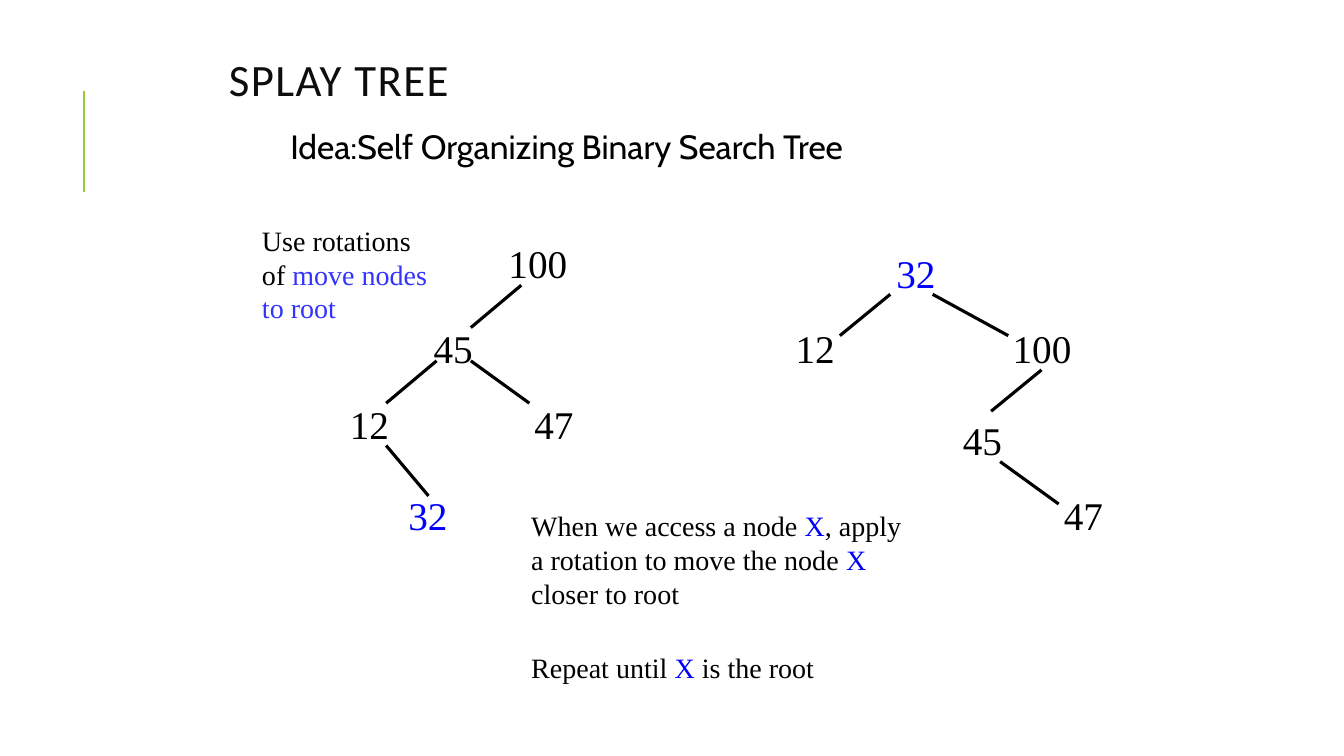
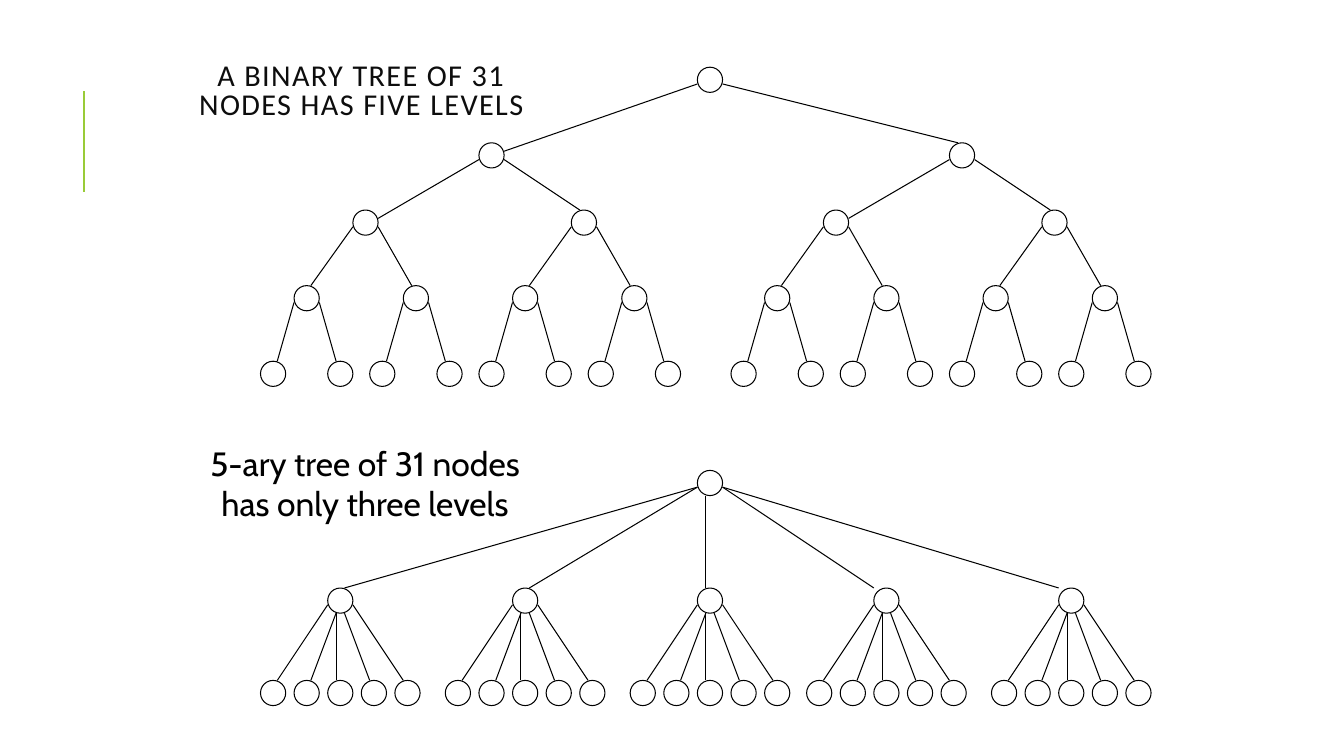
from typing import NamedTuple

from pptx import Presentation
from pptx.dml.color import RGBColor
from pptx.enum.shapes import MSO_CONNECTOR, MSO_SHAPE
from pptx.enum.text import MSO_ANCHOR, MSO_AUTO_SIZE, PP_ALIGN
from pptx.oxml.xmlchemy import OxmlElement
from pptx.presentation import Presentation as Deck
from pptx.slide import Slide
from pptx.text.text import TextFrame
from pptx.util import Inches, Pt

LEFT, CENTER = PP_ALIGN.LEFT, PP_ALIGN.CENTER
TOP, MIDDLE = MSO_ANCHOR.TOP, MSO_ANCHOR.MIDDLE
NO_AUTOSIZE = MSO_AUTO_SIZE.NONE
STRAIGHT, ELLIPSE = MSO_CONNECTOR.STRAIGHT, MSO_SHAPE.OVAL

BLACK = RGBColor(0x00, 0x00, 0x00)
TITLE_INK = RGBColor(0x0D, 0x0D, 0x0D)
GREEN = RGBColor(0x99, 0xCB, 0x38)
BLUE = RGBColor(0x00, 0x00, 0xFF)
SOFT_BLUE = RGBColor(0x33, 0x33, 0xFF)

TITLE_FONT, BODY_FONT, TREE_FONT = "Calibri", "Cabin", "Times New Roman"
TITLE_LAYOUT = 5
GRID = 1 / 12  # the large trees sit on a grid of twelfths of an inch
NODE = 3  # node diameter in grid steps


class Box(NamedTuple):
    left: float
    top: float
    width: float
    height: float


class Piece(NamedTuple):
    text: str
    color: RGBColor = BLACK


class Label(NamedTuple):
    key: str
    left: float
    top: float
    color: RGBColor = BLACK


class Edge(NamedTuple):
    x1: float
    y1: float
    x2: float
    y2: float


class Branch(NamedTuple):
    """Grid steps: child's shift, edge start on parent, edge end on child."""
    shift: int
    start: tuple[int, int]
    end: tuple[int, int]


class Level(NamedTuple):
    top: int
    branches: tuple[Branch, ...] = ()


# Small search trees: before and after the rotations
LABELS = (
    Label("100", 4.67, 2.33), Label("45", 3.83, 3.17),
    Label("12", 3, 3.92), Label("47", 4.83, 3.92),
    Label("32", 3.58, 4.83, BLUE),
    Label("32", 8.42, 2.42, BLUE), Label("12", 7.42, 3.17),
    Label("100", 9.67, 3.17), Label("45", 9.08, 4.08),
    Label("47", 10.08, 4.83),
)
EDGES = (
    Edge(5.17, 2.83, 4.67, 3.25), Edge(4.33, 3.58, 3.83, 4),
    Edge(4.67, 3.58, 5.25, 4), Edge(3.83, 4.42, 4.25, 4.92),
    Edge(8.83, 2.92, 8.33, 3.33), Edge(9.25, 2.92, 10, 3.33),
    Edge(10.33, 3.67, 9.83, 4.08), Edge(9.92, 4.58, 10.5, 5),
)


def fork(left: int, right: int, left_end: tuple[int, int]) -> tuple[Branch, ...]:
    return Branch(left, (0, 2), left_end), Branch(right, (3, 2), (1, 0))


# Large trees, root level first
ROOT_LEFT = 83
BINARY_TREE = (
    Level(8, fork(-26, 30, (3, 1))),
    Level(17, fork(-15, 11, (3, 1))),
    Level(25, fork(-7, 6, (2, 0))),
    Level(34, fork(-4, 4, (2, 0))),
    Level(43),
)
FIVE_ARY_TREE = (
    Level(56, (
        Branch(-44, (0, 2), (2, 0)), Branch(-22, (0, 2), (2, 0)),
        Branch(0, (1, 3), (1, 0)),
        Branch(21, (3, 2), (0, 0)), Branch(43, (3, 2), (0, 0)),
    )),
    Level(70, (
        Branch(-8, (0, 2), (2, 0)), Branch(-4, (1, 3), (2, 0)),
        Branch(0, (1, 3), (1, 0)),
        Branch(4, (2, 3), (1, 0)), Branch(8, (3, 2), (1, 0)),
    )),
    Level(81),
)


def draw_edge(slide: Slide, edge: Edge, color: RGBColor, weight: float) -> None:
    line = slide.shapes.add_connector(STRAIGHT, *(Inches(v) for v in edge))
    line.line.color.rgb = color
    line.line.width = Pt(weight)
    line._element.spPr.append(OxmlElement("a:effectLst"))


def write(frame: TextFrame, paragraphs: list[list[Piece]], font: str, size: float,
          align: PP_ALIGN = LEFT, line_spacing: float = 1, gap: float = 0,
          tracking: float = 0) -> None:
    """Fill a frame; gap is the space above every paragraph but the first."""
    for index, pieces in enumerate(paragraphs):
        paragraph = frame.add_paragraph() if index else frame.paragraphs[0]
        paragraph.alignment = align
        paragraph.line_spacing = line_spacing
        paragraph.space_before = Pt(gap if index else 0)
        for piece in pieces:
            run = paragraph.add_run()
            run.text = piece.text
            run.font.name = font
            run.font.size = Pt(size)
            run.font.color.rgb = piece.color
            if tracking:
                run._r.get_or_add_rPr().set("spc", str(round(tracking * 100)))


def add_text(slide: Slide, box: Box, anchor: MSO_ANCHOR = TOP) -> TextFrame:
    frame = slide.shapes.add_textbox(*(Inches(v) for v in box)).text_frame
    frame.word_wrap = True
    frame.vertical_anchor = anchor
    return frame


def add_titled_slide(deck: Deck, text: str, box: Box, size: float,
                     align: PP_ALIGN) -> Slide:
    slide = deck.slides.add_slide(deck.slide_layouts[TITLE_LAYOUT])
    draw_edge(slide, Edge(0.83, 1.9, 0.83, 0.9), GREEN, 1.5)
    title = slide.shapes.title
    title.left, title.top, title.width, title.height = (Inches(v) for v in box)
    frame = title.text_frame
    frame.word_wrap = True
    frame.auto_size = NO_AUTOSIZE
    frame.vertical_anchor = MIDDLE
    write(frame, [[Piece(text, TITLE_INK)]], TITLE_FONT, size, align,
          line_spacing=0.8, tracking=1)
    return slide


def grow_tree(slide: Slide, left: int, levels: tuple[Level, ...]) -> None:
    """Draw a node, its edges and, below it, all its subtrees."""
    level, lower = levels[0], levels[1:]
    node = slide.shapes.add_shape(
        ELLIPSE, *(Inches(v * GRID) for v in (left, level.top, NODE, NODE)))
    node.shadow.inherit = False
    node.fill.background()
    node.line.color.rgb = BLACK
    node.line.width = Pt(0.75)
    for shift, start, end in level.branches:
        child = left + shift
        steps = (left + start[0], level.top + start[1],
                 child + end[0], lower[0].top + end[1])
        draw_edge(slide, Edge(*(v * GRID for v in steps)), BLACK, 0.75)
        grow_tree(slide, child, lower)


def build_splay_slide(deck: Deck) -> None:
    slide = add_titled_slide(deck, "SPLAY TREE", Box(2.17, 0.33, 7.94, 1), 32, LEFT)

    # Idea line
    idea = add_text(slide, Box(2.83, 1.25, 7.92, 0.5))
    idea.margin_left = idea.margin_right = Inches(0.05)
    write(idea, [[Piece("Idea:Self Organizing Binary Search Tree")]],
          BODY_FONT, 24, line_spacing=0.9)

    # Explanations
    write(add_text(slide, Box(2.5, 2.17, 1.92, 1.1)), [
        [Piece("Use rotations")],
        [Piece("of "), Piece("move nodes to root", SOFT_BLUE)],
    ], TREE_FONT, 20)
    write(add_text(slide, Box(5.17, 5, 3.92, 1.83)), [
        [Piece("When we access a node "), Piece("X", BLUE),
         Piece(", apply a rotation to move the node "), Piece("X ", BLUE),
         Piece("closer to root")],
        [Piece("Repeat until "), Piece("X", BLUE), Piece(" is the root")],
    ], TREE_FONT, 20, gap=29)

    # Trees
    for label in LABELS:
        frame = add_text(slide, Box(label.left, label.top, 1.33, 0.57))
        write(frame, [[Piece(label.key, label.color)]], TREE_FONT, 28, CENTER)
    for edge in EDGES:
        draw_edge(slide, edge, BLACK, 2.25)


def build_levels_slide(deck: Deck) -> None:
    slide = add_titled_slide(deck, "A BINARY TREE OF 31 NODES HAS FIVE LEVELS",
                             Box(1.67, 0.67, 3.83, 0.5), 21.6, CENTER)
    grow_tree(slide, ROOT_LEFT, BINARY_TREE)

    # Five-way tree with its caption
    caption = add_text(slide, Box(1.83, 4.25, 3.58, 1.08), MIDDLE)
    write(caption, [[Piece("5-ary tree of 31 nodes has only three levels")]],
          BODY_FONT, 24, CENTER)
    grow_tree(slide, ROOT_LEFT, FIVE_ARY_TREE)


def main() -> None:
    deck = Presentation()
    deck.slide_width, deck.slide_height = Inches(13.33), Inches(7.5)
    build_splay_slide(deck)
    build_levels_slide(deck)
    deck.save("out.pptx")


if __name__ == "__main__":
    main()
